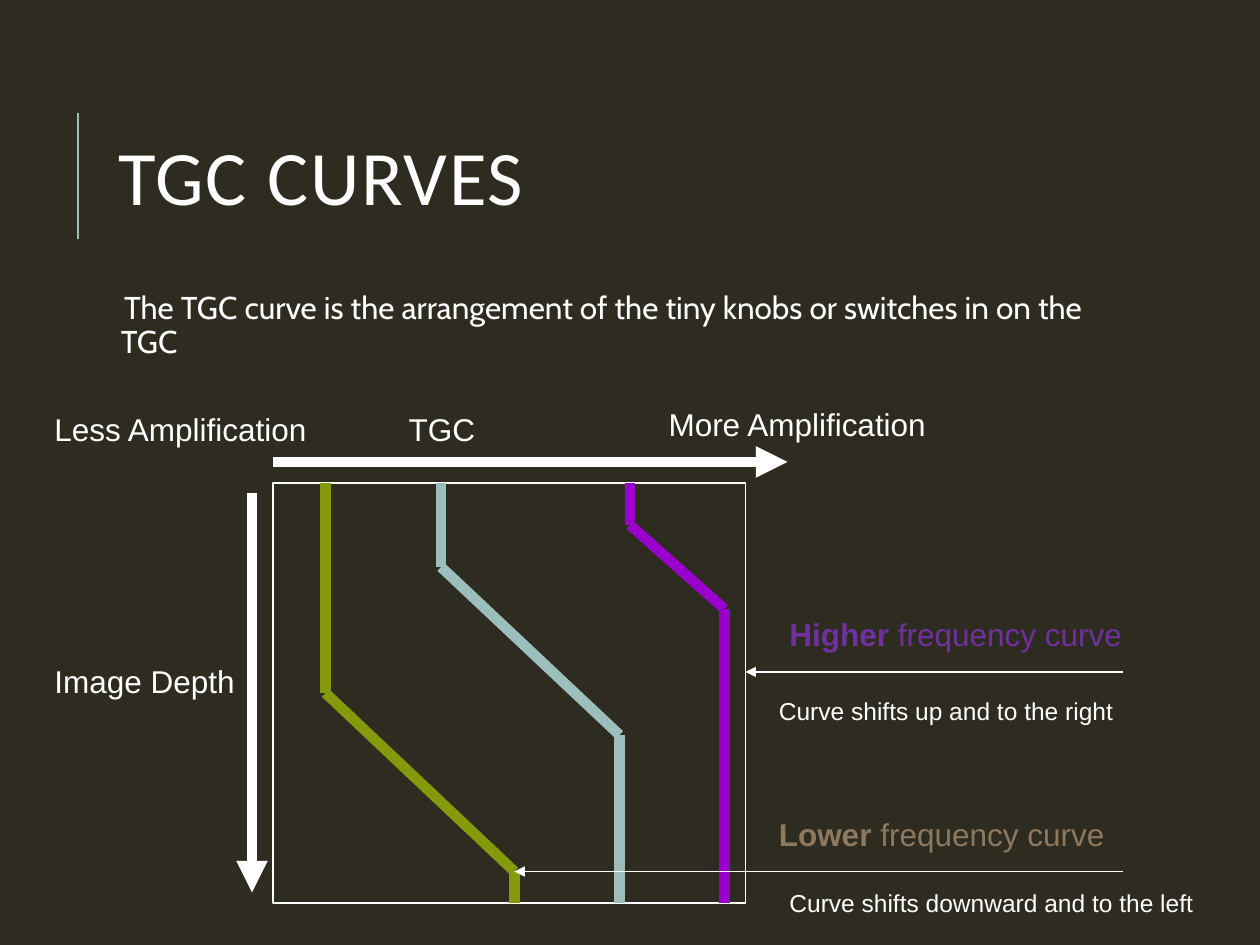
from dataclasses import dataclass
from itertools import pairwise

from lxml import etree
from pptx import Presentation
from pptx.dml.color import RGBColor
from pptx.enum.shapes import MSO_CONNECTOR, MSO_SHAPE
from pptx.enum.text import MSO_ANCHOR
from pptx.oxml.ns import qn
from pptx.util import Pt

STRAIGHT = MSO_CONNECTOR.STRAIGHT
RECTANGLE = MSO_SHAPE.RECTANGLE
MIDDLE = MSO_ANCHOR.MIDDLE


@dataclass(frozen=True)
class Theme:
    bg: str = "2E2B21"
    white: str = "FFFFFF"
    teal: str = "9CBEBD"
    green: str = "849A0A"
    violet: str = "9900CC"
    purple: str = "7030A0"
    brown: str = "8E795E"
    title: int = 44
    body: int = 18
    note: int = 14
    thick: float = 6
    thin: float = 0.75


T = Theme()

prs = Presentation()
prs.slide_width, prs.slide_height = Pt(720), Pt(540)
s = prs.slides.add_slide(prs.slide_layouts[6])
s.background.fill.solid()
s.background.fill.fore_color.rgb = RGBColor.from_string(T.bg)


def add_line(start, end, color, width, arrow=False):
    cx = s.shapes.add_connector(STRAIGHT, *map(Pt, start + end))
    cx.line.color.rgb = RGBColor.from_string(color)
    cx.line.width = Pt(width)
    if arrow:
        etree.SubElement(cx.line._get_or_add_ln(), qn("a:tailEnd"), type="triangle")
    etree.SubElement(cx._element.spPr, qn("a:effectLst"))


def add_text(box, runs, size, color, font="Arial", wrap=True):
    sp = s.shapes.add_textbox(*map(Pt, box))
    tf = sp.text_frame
    tf.word_wrap = wrap
    p = tf.paragraphs[0]
    for text, bold in runs:
        r = p.add_run()
        r.text = text
        r.font.name = font
        r.font.size = Pt(size)
        r.font.bold = bold
        r.font.color.rgb = RGBColor.from_string(color)
    return tf


add_line((44.64, 136.8), (44.64, 64.8), T.teal, 1.5)

tf = add_text((60.5, 46, 574, 118), [("TGC CURVES", False)], T.title, T.white, "Calibri")
tf.vertical_anchor = MIDDLE
p = tf.paragraphs[0]
p.line_spacing = 0.8
p.runs[0].font._element.set("spc", "100")

intro = "The TGC curve is the arrangement of the tiny knobs or switches in on the TGC"
tf = add_text((58.3, 163.4, 574, 317), [(intro, False)], T.body, T.white, "Cabin")
tf.margin_left = tf.margin_right = tf.margin_top = tf.margin_bottom = Pt(3.6)
p = tf.paragraphs[0]
p.line_spacing = 0.9
p.space_before, p.space_after = Pt(12), Pt(2)
pPr = p._p.get_or_add_pPr()
pPr.set("marL", str(Pt(7.2)))
pPr.set("indent", str(-Pt(7.2)))
etree.SubElement(pPr, qn("a:buChar"), char=" ")

left, top, width, height = 156, 276, 270, 240
bottom = top + height
sp = s.shapes.add_shape(RECTANGLE, Pt(left), Pt(top), Pt(width), Pt(height))
sp.shadow.inherit = False
sp.fill.solid()
sp.fill.fore_color.rgb = RGBColor.from_string(T.bg)
sp.line.color.rgb = RGBColor.from_string(T.white)
sp.line.width = Pt(T.thin)

add_line((left, 264), (450, 264), T.white, T.thick, True)
add_line((144, 282), (144, 510), T.white, T.thick, True)

curves = [
    (T.teal, (252, 324), (354, 420)),
    (T.green, (186, 396), (294, 498)),
    (T.violet, (360, 300), (414, 348)),
]
for color, upper, lower in curves:
    points = [(upper[0], top), upper, lower, (lower[0], bottom)]
    for start, end in pairwise(points):
        add_line(start, end, color, T.thick)

for tip in [(left + width, 384), (294, 498)]:
    add_line((642, tip[1]), tip, T.white, T.thin, True)

axis_labels = [
    ("Less Amplification", (24, 231, 174, 29)),
    ("TGC", (226.5, 231, 53, 29)),
    ("More Amplification", (375, 228, 174, 29)),
    ("Image Depth", (24, 375, 162, 29)),
]
for text, box in axis_labels:
    add_text(box, [(text, False)], T.body, T.white)

frequency_labels = [
    ("Higher", T.purple, (444, 348, 207, 29)),
    ("Lower", T.brown, (438, 462, 202, 29)),
]
for word, color, box in frequency_labels:
    add_text(box, [(word, True), (" frequency curve", False)], T.body, color, wrap=False)

shift_notes = [
    ("Curve shifts up and to the right", (438, 394, 222, 24)),
    ("Curve shifts downward and to the left", (444, 504, 264, 24)),
]
for text, box in shift_notes:
    add_text(box, [(text, False)], T.note, T.white)

prs.save("out.pptx")
